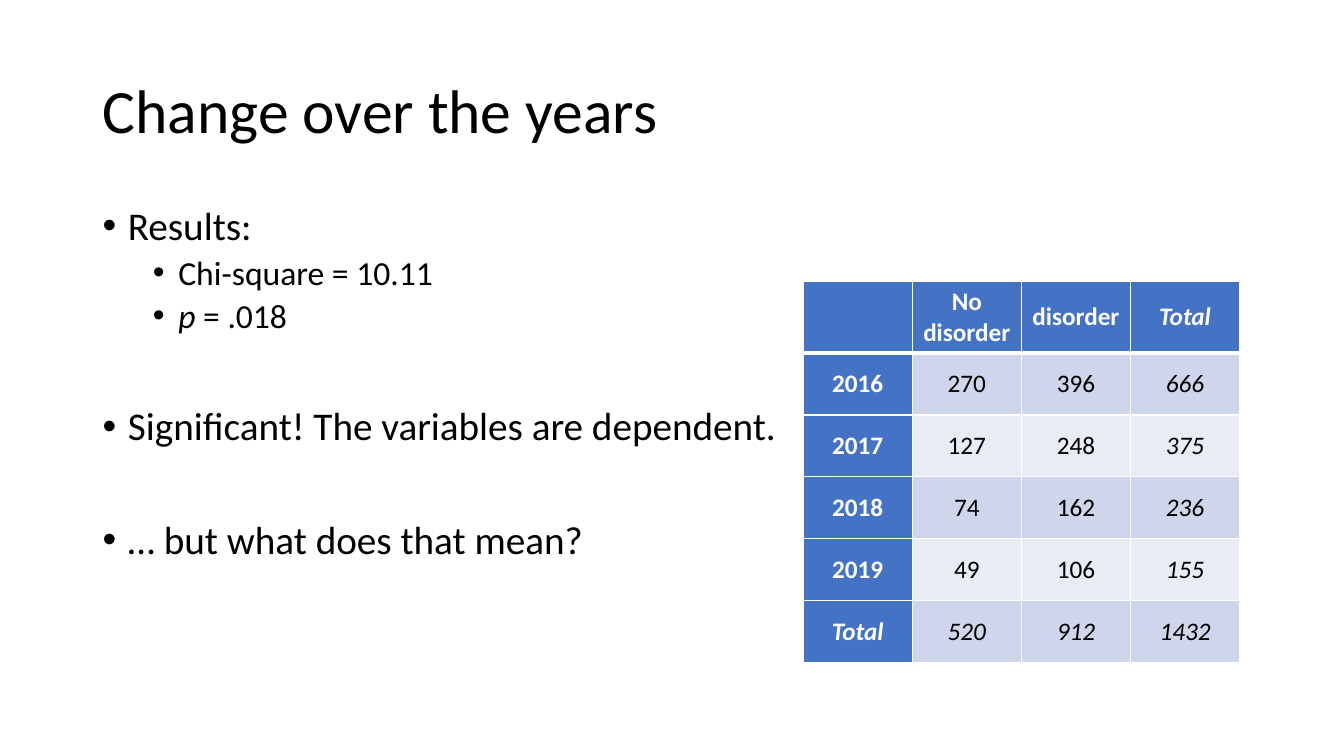
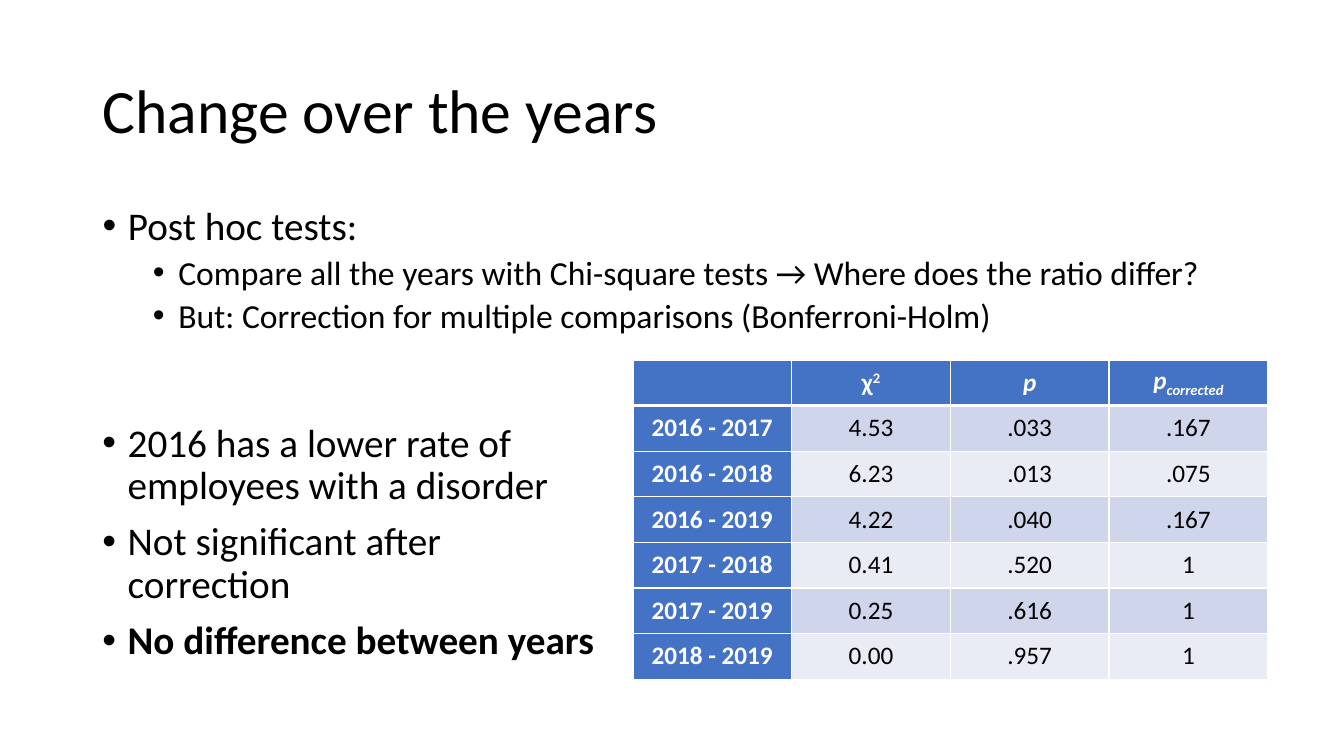
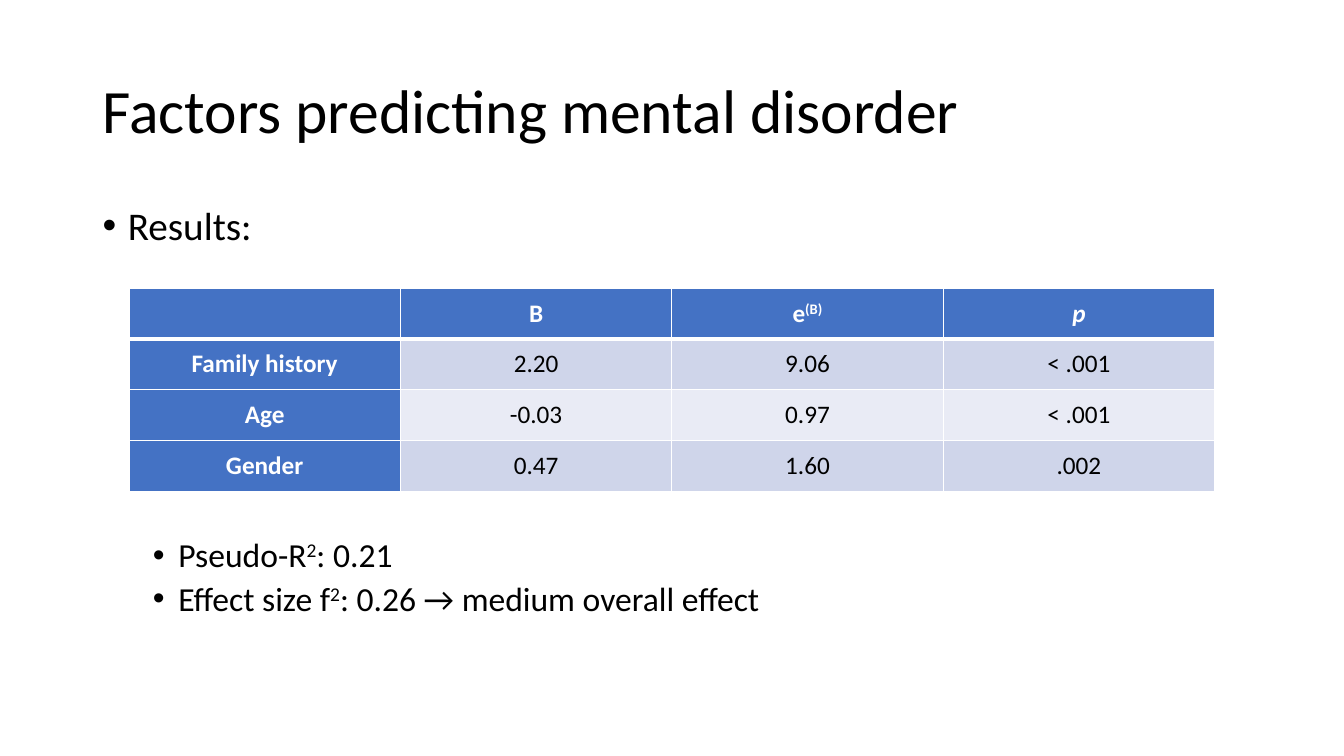
from dataclasses import dataclass

from lxml.etree import SubElement
from pptx import Presentation
from pptx.dml.color import RGBColor
from pptx.enum.text import MSO_ANCHOR, MSO_AUTO_SIZE, PP_ALIGN
from pptx.oxml import parse_xml
from pptx.oxml.ns import nsdecls, qn
from pptx.util import Cm, Pt

# Shared look
FONT = "Calibri"
BLACK = RGBColor(0x00, 0x00, 0x00)
WHITE = RGBColor(0xFF, 0xFF, 0xFF)
HEADING_FILL = RGBColor(0x44, 0x72, 0xC4)
BAND_FILLS = (RGBColor(0xCF, 0xD5, 0xEA), RGBColor(0xE9, 0xEB, 0xF5))
TITLE_SIZE, TABLE_SIZE = 44, 18
BULLET_SIZES = (28, 24)
BULLET_GAPS = (10, 5)
BULLET_INDENTS = (Cm(0.64), Cm(1.91))
LINE_SPACING = 0.9
SUPERSCRIPT, SUBSCRIPT = 30, -25
THIN, THICK = 1, 3
LEFT, WIDTH = 2.33, 29.21


@dataclass(frozen=True)
class Area:
    """Position and size in centimetres."""
    left: float
    top: float
    width: float
    height: float


@dataclass(frozen=True)
class Span:
    text: str
    bold: bool = False
    italic: bool = False
    baseline: int = 0


@dataclass(frozen=True)
class Bullet:
    spans: tuple[Span, ...]
    level: int = 0
    gap: float | None = None  # points above, when not the usual gap


@dataclass(frozen=True)
class Grid:
    left: float
    top: float
    column_width: float
    row_height: float
    header_height: float
    rows: tuple[tuple, ...]


TITLE_AREA = Area(LEFT, 1.01, WIDTH, 3.68)
BODY_AREA = Area(LEFT, 5.08, WIDTH, 12.09)


def bullet(text: str, level: int = 0, gap: float | None = None, bold: bool = False) -> Bullet:
    return Bullet((Span(text, bold=bold),), level, gap)


def squared(before: str, after: str, gap: float | None = None) -> Bullet:
    """Second-level bullet with a raised 2 between two texts."""
    return Bullet((Span(before), Span("2", baseline=SUPERSCRIPT), Span(after)), 1, gap)


def add_span(para, text: str, *, size: float, color: RGBColor = BLACK, bold: bool = False,
             italic: bool = False, baseline: int = 0) -> None:
    span = para.add_run()
    span.text = text
    font = span.font
    font.name, font.size, font.bold, font.italic = FONT, Pt(size), bold, italic
    font.color.rgb = color
    if baseline:
        span._r.get_or_add_rPr().set("baseline", str(baseline * 1000))


def place(box, area: Area) -> None:
    box.left, box.top = Cm(area.left), Cm(area.top)
    box.width, box.height = Cm(area.width), Cm(area.height)


def fill_bullets(frame, bullets: tuple[Bullet, ...]) -> None:
    frame.word_wrap = True
    frame.auto_size = MSO_AUTO_SIZE.NONE
    for number, item in enumerate(bullets):
        para = frame.add_paragraph() if number else frame.paragraphs[0]
        para.level = item.level
        para.line_spacing = LINE_SPACING
        para.space_before = Pt(BULLET_GAPS[item.level] if item.gap is None else item.gap)
        properties = para._p.get_or_add_pPr()
        properties.set("marL", str(BULLET_INDENTS[item.level]))
        properties.set("indent", str(-BULLET_INDENTS[0]))
        SubElement(properties, qn("a:buFont")).set("typeface", "Arial")
        SubElement(properties, qn("a:buChar")).set("char", "•")
        for span in item.spans:
            add_span(para, span.text, size=BULLET_SIZES[item.level], bold=span.bold,
                     italic=span.italic, baseline=span.baseline)


def add_page(deck, title: str, bullets: tuple[Bullet, ...]):
    page = deck.slides.add_slide(deck.slide_layouts[1])
    heading, body = page.shapes.title, page.placeholders[1]
    place(heading, TITLE_AREA)
    frame = heading.text_frame
    frame.vertical_anchor = MSO_ANCHOR.MIDDLE
    frame.auto_size = MSO_AUTO_SIZE.NONE
    para = frame.paragraphs[0]
    para.alignment = PP_ALIGN.LEFT
    para.line_spacing = LINE_SPACING
    add_span(para, title, size=TITLE_SIZE)
    place(body, BODY_AREA)
    fill_bullets(body.text_frame, bullets)
    return page


def set_borders(cell, top: float, bottom: float) -> None:
    widths = {"lnL": THIN, "lnR": THIN, "lnT": top, "lnB": bottom}
    properties = cell._tc.get_or_add_tcPr()
    for place_in_order, (side, width) in enumerate(widths.items()):
        line = parse_xml(f'<a:{side} {nsdecls("a")} w="{Pt(width)}"><a:solidFill>'
                         f'<a:srgbClr val="{WHITE}"/></a:solidFill></a:{side}>')
        properties.insert(place_in_order, line)


def add_grid(page, grid: Grid) -> None:
    row_count, column_count = len(grid.rows), len(grid.rows[0])
    height = grid.header_height + grid.row_height * (row_count - 1)
    table = page.shapes.add_table(row_count, column_count, Cm(grid.left), Cm(grid.top),
                                  Cm(grid.column_width * column_count), Cm(height)).table
    for column in table.columns:
        column.width = Cm(grid.column_width)
    for r, values in enumerate(grid.rows):
        table.rows[r].height = Cm(grid.row_height if r else grid.header_height)
        for c, value in enumerate(values):
            cell = table.cell(r, c)
            is_heading = r == 0 or c == 0
            cell.fill.solid()
            cell.fill.fore_color.rgb = HEADING_FILL if is_heading else BAND_FILLS[(r - 1) % 2]
            cell.vertical_anchor = MSO_ANCHOR.MIDDLE
            set_borders(cell, THICK if r == 1 else THIN, THICK if r == 0 else THIN)
            para = cell.text_frame.paragraphs[0]
            para.alignment = PP_ALIGN.CENTER
            # Totals are italic along their whole row and column
            in_total = "Total" in (grid.rows[0][c], values[0])
            spans = (Span(value, italic=in_total),) if isinstance(value, str) else value
            for span in spans:
                if span.text:
                    add_span(para, span.text, size=TABLE_SIZE, bold=is_heading,
                             color=WHITE if is_heading else BLACK,
                             italic=span.italic, baseline=span.baseline)


# Table contents
P_VALUE = (Span("p", italic=True),)

YEAR_COUNTS = Grid(20.24, 7.09, 2.75, 1.56, 1.8, (
    ("", "No disorder", "disorder", "Total"),
    ("2016", "270", "396", "666"),
    ("2017", "127", "248", "375"),
    ("2018", "74", "162", "236"),
    ("2019", "49", "106", "155"),
    ("Total", "520", "912", "1432"),
))

YEAR_PAIRS = Grid(15.95, 9.07, 4, 1.15, 1.15, (
    ("", (Span("χ"), Span("2", baseline=SUPERSCRIPT)), P_VALUE,
     (*P_VALUE, Span("corrected", italic=True, baseline=SUBSCRIPT))),
    ("2016 - 2017", "4.53", ".033", ".167"),
    ("2016 - 2018", "6.23", ".013", ".075"),
    ("2016 - 2019", "4.22", ".040", ".167"),
    ("2017 - 2018", "0.41", ".520", "1"),
    ("2017 - 2019", "0.25", ".616", "1"),
    ("2018 - 2019", "0.00", ".957", "1"),
))

FACTORS = Grid(3.25, 7.26, 6.84, 1.28, 1.28, (
    ("", "B", (Span("e"), Span("(B)", baseline=SUPERSCRIPT)), P_VALUE),
    ("Family history", "2.20", "9.06", "< .001"),
    ("Age", "-0.03", "0.97", "< .001"),
    ("Gender", "0.47", "1.60", ".002"),
))


def main() -> None:
    deck = Presentation()
    deck.slide_width, deck.slide_height = Cm(33.87), Cm(19.05)

    # Chi-square result
    page = add_page(deck, "Change over the years", (
        bullet("Results:"),
        bullet("Chi-square = 10.11", level=1),
        Bullet((*P_VALUE, Span(" = .018")), level=1),
        bullet("Significant! The variables are dependent.", gap=51),
        bullet("… but what does that mean?", gap=51),
    ))
    add_grid(page, YEAR_COUNTS)

    # Post hoc comparisons, with conclusions beside the table
    page = add_page(deck, "Change over the years", (
        bullet("Post hoc tests:"),
        bullet("Compare all the years with Chi-square tests → Where does the ratio differ?", level=1),
        bullet("But: Correction for multiple comparisons (Bonferroni-Holm)", level=1),
    ))
    add_grid(page, YEAR_PAIRS)
    conclusions = page.shapes.add_textbox(Cm(LEFT), Cm(9.07), Cm(13.21), Cm(8.08))
    conclusions.text_frame.margin_top = Cm(1.6)
    fill_bullets(conclusions.text_frame, (
        bullet("2016 has a lower rate of employees with a disorder"),
        bullet("Not significant after correction"),
        bullet("No difference between years", bold=True),
    ))

    # Regression result, with the effect size below the table
    page = add_page(deck, "Factors predicting mental disorder", (
        bullet("Results:"),
        squared("Pseudo-R", ": 0.21", gap=207),
        squared("Effect size f", ": 0.26 → medium overall effect"),
    ))
    add_grid(page, FACTORS)

    deck.save("out.pptx")


if __name__ == "__main__":
    main()
